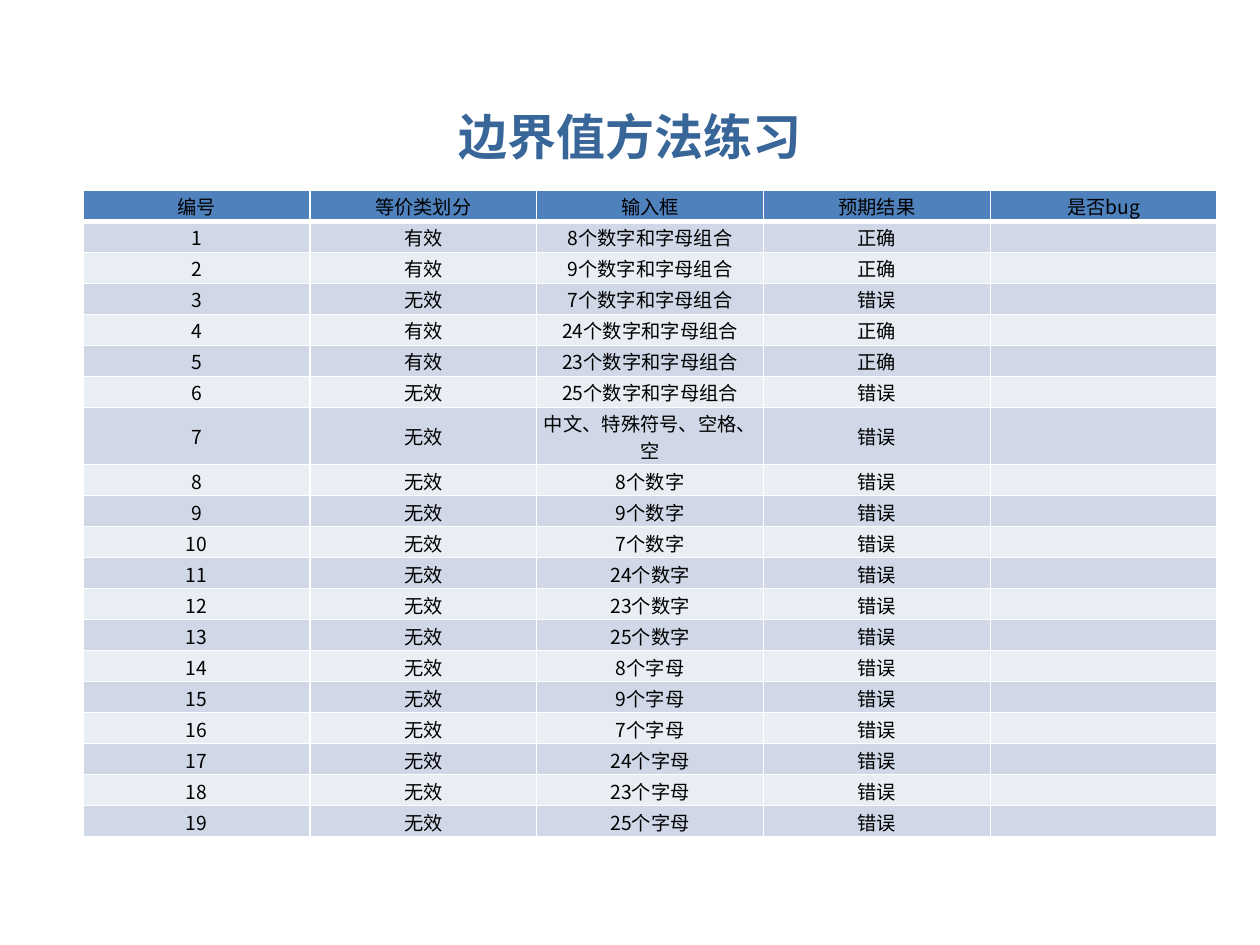
from lxml.etree import SubElement
from pptx import Presentation
from pptx.dml.color import RGBColor
from pptx.enum.text import MSO_ANCHOR, MSO_AUTO_SIZE, PP_ALIGN
from pptx.oxml import parse_xml
from pptx.oxml.ns import nsdecls, qn
from pptx.util import Inches, Pt

CENTER = PP_ALIGN.CENTER
MIDDLE = MSO_ANCHOR.MIDDLE
NO_FIT = MSO_AUTO_SIZE.NONE
WHITE = RGBColor(0xFF, 0xFF, 0xFF)
BLACK = RGBColor(0, 0, 0)
TITLE_BLUE = RGBColor(0x38, 0x66, 0x98)
HEADER_BLUE = RGBColor(0x4F, 0x81, 0xBD)
BAND_COLORS = (RGBColor(0xE9, 0xED, 0xF4), RGBColor(0xD0, 0xD8, 0xE8))
LATIN_FONT = "Roboto"
CJK_FONT = "Noto Sans CJK SC"
TITLE_ONLY = 5
SLIDE_SIZE = (10, 7.5)
TITLE_BOX = (0.5, 0.8, 9, 0.56)
TABLE_BOX = (0.66, 1.51, 9, 5.1)
TALL_ROW, TALL_HEIGHT = 7, 0.42
CELL_SIZE = 11

HEADERS = ("编号", "等价类划分", "输入框", "预期结果", "是否bug")
LENGTHS = (8, 9, 7, 24, 23, 25)
OUT_OF_RANGE = (7, 25)
MIXED = "数字和字母组合"


def build_cases():
    """Return the table rows, one for each tested input."""
    inputs = [(f"{length}个{MIXED}", length not in OUT_OF_RANGE) for length in LENGTHS]
    inputs.append(("中文、特殊符号、空格、空", False))
    inputs += [(f"{length}个{kind}", False) for kind in ("数字", "字母") for length in LENGTHS]
    return [
        (str(number), "有效" if valid else "无效", text, "正确" if valid else "错误", "")
        for number, (text, valid) in enumerate(inputs, 1)
    ]


def write_text(frame, text, *, size, color, font=CJK_FONT, bold=False):
    """Write one centred line, keeping the size even when it is empty."""
    para = frame.paragraphs[0]
    para.alignment = CENTER
    if not text:
        SubElement(para._p, qn("a:endParaRPr"), sz=str(size * 100))
        return
    span = para.add_run()
    span.text = text
    span.font.name = font
    span.font.size = Pt(size)
    span.font.bold = bold
    span.font.color.rgb = color
    SubElement(span.font._element, qn("a:ea"), typeface=CJK_FONT)


def set_borders(cell, **widths):
    """Draw white cell borders with a width in points for each side."""
    properties = cell._tc.get_or_add_tcPr()
    for index, (side, width) in enumerate(widths.items()):
        border = parse_xml(
            f'<a:ln{side} {nsdecls("a")} w="{Pt(width)}"><a:solidFill>'
            f'<a:srgbClr val="{WHITE}"/></a:solidFill></a:ln{side}>'
        )
        properties.insert(index, border)


def format_cell(cell, text, fill, top, bottom):
    """Fill one cell with its text, colour and borders."""
    cell.margin_left = cell.margin_right = cell.margin_top = Inches(0.01)
    cell.margin_bottom = 0
    cell.vertical_anchor = MIDDLE
    cell.fill.solid()
    cell.fill.fore_color.rgb = fill
    set_borders(cell, L=1, R=1, T=top, B=bottom)
    write_text(cell.text_frame, text, size=CELL_SIZE, color=BLACK)


def place_title(page, box, text):
    """Move the title placeholder to the box and write it."""
    title = page.shapes.title
    title.left, title.top, title.width, title.height = map(Inches, box)
    frame = title.text_frame
    frame.word_wrap = True
    frame.auto_size = NO_FIT
    frame.vertical_anchor = MIDDLE
    write_text(frame, text, size=28, color=TITLE_BLUE, font=LATIN_FONT, bold=True)


def place_table(page, box, headers, cases):
    """Fill the box with the header row and the banded test cases."""
    rows = [headers, *cases]
    table = page.shapes.add_table(len(rows), len(headers), *map(Inches, box)).table
    table.first_row = table.horz_banding = False
    for column in table.columns:
        column.width = Inches(box[2] / len(headers))
    row_height = (box[3] - TALL_HEIGHT) / len(cases)
    for index, values in enumerate(rows):
        table.rows[index].height = Inches(TALL_HEIGHT if index == TALL_ROW else row_height)
        fill = BAND_COLORS[index % 2] if index else HEADER_BLUE
        top = 3 if index == 1 else 1
        bottom = 1 if index else 3
        for column, text in enumerate(values):
            format_cell(table.cell(index, column), text, fill, top, bottom)


def main():
    """Build the deck and save it."""
    deck = Presentation()
    deck.slide_width, deck.slide_height = map(Inches, SLIDE_SIZE)
    page = deck.slides.add_slide(deck.slide_layouts[TITLE_ONLY])
    place_title(page, TITLE_BOX, "边界值方法练习")
    place_table(page, TABLE_BOX, HEADERS, build_cases())
    deck.save("out.pptx")


if __name__ == "__main__":
    main()
